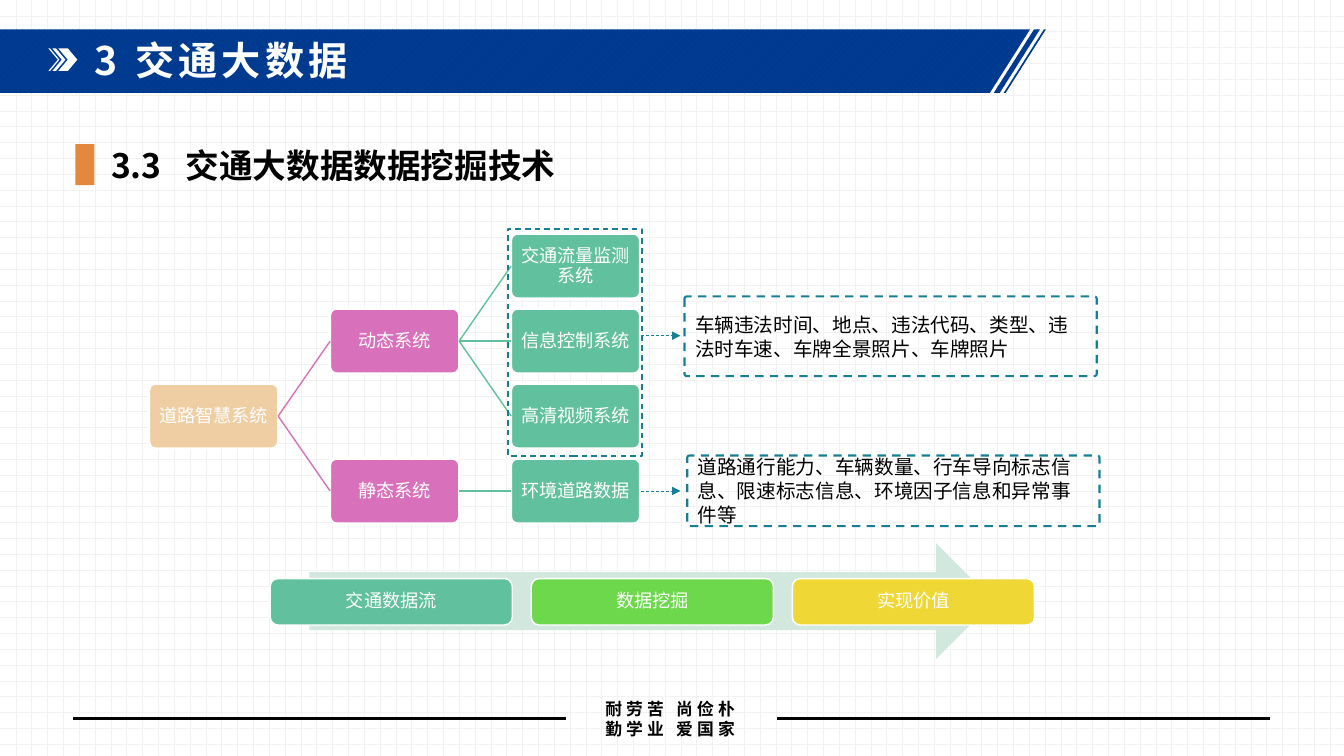
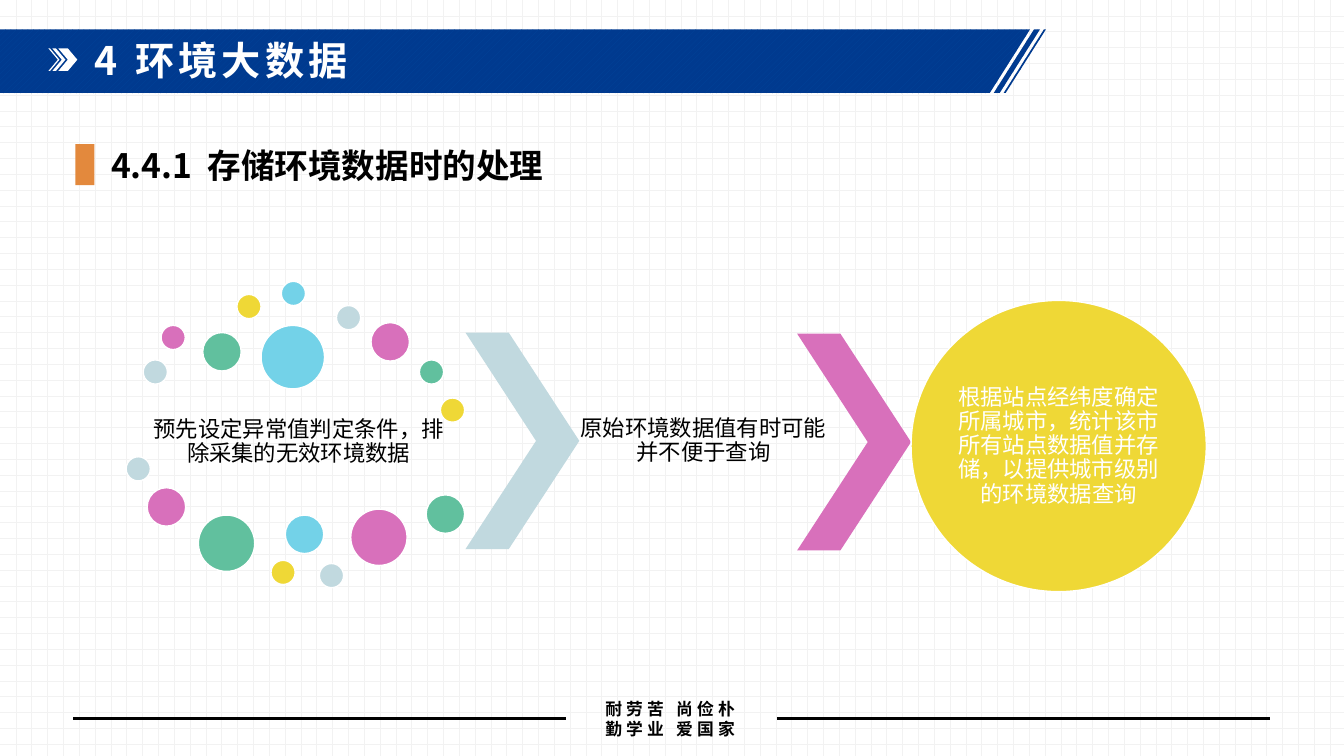
"""Build two slides on traffic and environment data with a shared banner and footer."""
import itertools

import lxml.etree
import pptx
import pptx.dml.color
import pptx.enum.dml
import pptx.enum.shapes
import pptx.enum.text
import pptx.oxml.ns
import pptx.util

Cm, Pt = pptx.util.Cm, pptx.util.Pt
SHAPE = pptx.enum.shapes.MSO_SHAPE
PATTERN = pptx.enum.dml.MSO_PATTERN
ALIGN = pptx.enum.text.PP_ALIGN
ANCHOR = pptx.enum.text.MSO_ANCHOR
DASH = pptx.enum.dml.MSO_LINE.DASH

HEADING_FONT, BODY_FONT = "Noto Sans CJK SC", "League Spartan"
WHITE, BLACK, TEAL, ORANGE = "FFFFFF", "000000", "187E95", "E3893D"
SAND, PINK, GREEN, LIME = "F0CEA3", "D870BB", "61C09E", "6DD84B"
YELLOW, SKY, MIST, MINT = "EFD836", "73D2E8", "C1D9DF", "D2E8DF"

BANNER_TOP, BANNER_BOTTOM, BANNER_SLANT = 0.74, 2.35, 1.02
BANNER_STRIPES = [(26.06, 26.21), (26.31, 26.36)]
BANNER_END = 25.96
BANNER_CHEVRONS = [(1.22, 0.28), (1.32, 0.33), (1.47, 0.48)]
MOTTO = ["耐劳苦 尚俭朴", "勤学业 爱国家"]
FOOTER_LINES = [(1.85, 14.27), (19.58, 32)]
TITLE_BOX = (1.83, 0.81, 21.11, 1.42)
SECTION_BOX = (2.36, 3.63, 29.64, 1.04)

TRAFFIC = {"title": "3 交通大数据", "section": "3.3\t交通大数据数据挖掘技术", "tab": 1.88}
ENVIRONMENT = {"title": "4 环境大数据", "section": "4.4.1\t存储环境数据时的处理", "tab": 2.43}

TREE = [
    ("道路智慧系统", 0, 2, SAND, None),
    ("动态系统", 1, 1, PINK, "道路智慧系统"),
    ("静态系统", 1, 3, PINK, "道路智慧系统"),
    ("交通流量监测系统", 2, 0, GREEN, "动态系统"),
    ("信息控制系统", 2, 1, GREEN, "动态系统"),
    ("高清视频系统", 2, 2, GREEN, "动态系统"),
    ("环境道路数据", 2, 3, GREEN, "静态系统"),
]
CALLOUTS = [
    ("车辆违法时间、地点、违法代码、类型、违法时车速、车牌全景照片、车牌照片",
     (17.25, 7.47, 10.39, 2.01), 8.46),
    ("道路通行能力、车辆数量、行车导向标志信息、限速标志信息、环境因子信息和异常事件等",
     (17.32, 11.48, 10.39, 1.78), 12.37),
]
STEPS = [("交通数据流", GREEN), ("数据挖掘", LIME), ("实现价值", YELLOW)]

DOT_COLOURS = [MIST, PINK, GREEN, YELLOW, SKY]
SMALL, MEDIUM, LARGE, LARGEST = 0.61, 0.97, 1.42, 1.6
DOTS = [
    (3.61, 9.07, SMALL), (4.06, 8.2, SMALL), (5.11, 8.38, MEDIUM),
    (5.97, 7.42, SMALL), (7.09, 7.09, SMALL), (8.48, 7.7, SMALL),
    (9.35, 8.13, MEDIUM), (10.57, 9.07, SMALL), (11.1, 10.03, SMALL),
    (6.58, 8.2, LARGEST), (3.18, 11.51, SMALL), (3.71, 12.29, MEDIUM),
    (5, 12.98, LARGE), (6.83, 14.12, SMALL), (7.19, 12.98, MEDIUM),
    (8.05, 14.2, SMALL), (8.84, 12.83, LARGE), (10.74, 12.47, MEDIUM),
]
STAGE_TEXTS = [
    ("预先设定异常值判定条件，排除采集的无效环境数据", (3.63, 9.86, 7.8, 2.57)),
    ("原始环境数据值有时可能并不便于查询", (14.58, 8.38, 6.3, 5.46)),
]
STAGE_CHEVRONS = [(11.73, 8.38, MIST), (20.09, 8.41, PINK)]
RESULT = "根据站点经纬度确定所属城市，统计该市所有站点数据值并存储，以提供城市级别的环境数据查询"


def rgb(colour):
    return pptx.dml.color.RGBColor.from_string(colour)


def apply(target, **values):
    for name, value in values.items():
        setattr(target, name, value)


def lengths(*values):
    return [Cm(value) for value in values]


def set_pattern(fill, pattern, front, back):
    fill.patterned()
    fill.pattern = pattern
    fill.fore_color.rgb, fill.back_color.rgb = rgb(front), rgb(back)


def set_line(line, colour, width, dash=None):
    line.color.rgb = rgb(colour)
    apply(line, width=Pt(width), dash_style=dash)


def write(shape, lines, size, colour, font=BODY_FONT, bold=False, align=ALIGN.CENTER,
          margins=(0.25, 0.13, 0.25, 0.13), leading=1.08, spacing=0, tab=None):
    frame = shape.text_frame
    frame.text = "\n".join(lines)
    sides = ("margin_left", "margin_top", "margin_right", "margin_bottom")
    apply(frame, word_wrap=True, auto_size=pptx.enum.text.MSO_AUTO_SIZE.NONE,
          vertical_anchor=ANCHOR.MIDDLE, **dict(zip(sides, lengths(*margins))))
    for paragraph in frame.paragraphs:
        apply(paragraph, alignment=align, line_spacing=Pt(round(size * leading, 1)),
              space_before=Pt(0))
        if tab:
            properties = paragraph._p.get_or_add_pPr()
            stops = lxml.etree.SubElement(properties, pptx.oxml.ns.qn("a:tabLst"))
            lxml.etree.SubElement(stops, pptx.oxml.ns.qn("a:tab"), pos=str(Cm(tab)), algn="l")
        for run in paragraph.runs:
            apply(run.font, name=font, size=Pt(size), bold=bold)
            run.font.color.rgb = rgb(colour)
            properties = run._r.get_or_add_rPr()
            if spacing:
                properties.set("spc", str(spacing * 100))
            lxml.etree.SubElement(properties, pptx.oxml.ns.qn("a:ea"), typeface=font)


def add_shape(slide, kind, box, fill=None, line=None, adjust=None):
    shape = slide.shapes.add_shape(kind, *lengths(*box))
    shape.shadow.inherit = False
    if fill:
        shape.fill.solid()
        shape.fill.fore_color.rgb = rgb(fill)
    else:
        shape.fill.background()
    if line:
        set_line(shape.line, *line)
    else:
        shape.line.fill.background()
    if adjust is not None:
        shape.adjustments[0] = adjust
    return shape


def add_text(slide, box, lines, size, colour, **options):
    text_box = slide.shapes.add_textbox(*lengths(*box))
    write(text_box, lines, size, colour, **options)


def add_line(slide, ends, line, arrow=False, joined=None):
    connector = slide.shapes.add_connector(
        pptx.enum.shapes.MSO_CONNECTOR.STRAIGHT, *lengths(*ends))
    if joined:
        connector.begin_connect(joined[0], 3)
        connector.end_connect(joined[1], 1)
    set_line(connector.line, *line)
    if arrow:
        lxml.etree.SubElement(connector.line._get_or_add_ln(),
                              pptx.oxml.ns.qn("a:tailEnd"), type="triangle")
    lxml.etree.SubElement(connector._element.spPr, pptx.oxml.ns.qn("a:effectLst"))


def draw_banner(slide):
    builder = slide.shapes.build_freeform(*lengths(0, BANNER_TOP))
    outline = [(BANNER_END, BANNER_TOP), (BANNER_END - BANNER_SLANT, BANNER_BOTTOM),
               (0, BANNER_BOTTOM)]
    builder.add_line_segments([lengths(*point) for point in outline], close=True)
    for left, right in BANNER_STRIPES:
        builder.move_to(*lengths(left, BANNER_TOP))
        outline = [(right, BANNER_TOP), (right - BANNER_SLANT, BANNER_BOTTOM),
                   (left - BANNER_SLANT, BANNER_BOTTOM)]
        builder.add_line_segments([lengths(*point) for point in outline], close=True)
    banner = builder.convert_to_shape()
    banner.shadow.inherit = False
    set_pattern(banner.fill, PATTERN.WIDE_UPWARD_DIAGONAL, "00449A", "003A8F")
    banner.line.fill.background()
    for left, width in BANNER_CHEVRONS:
        add_shape(slide, SHAPE.CHEVRON, (left, 1.22, width, 0.57), WHITE, adjust=0.24 / width)


def move_frame_to_layout(slide, layout):
    """Draw the shared frame and hand it to the layout."""
    for placeholder in list(layout.placeholders):
        if placeholder.placeholder_format.idx:
            layout.shapes.element.remove(placeholder.element)
    set_pattern(layout.background.fill, PATTERN.DOTTED_GRID, "F2F2F2", WHITE)
    draw_banner(slide)
    add_text(slide, (14.25, 17.48, 5.28, 1.27), MOTTO, 12, BLACK, font=HEADING_FONT,
             bold=True, spacing=3, leading=1.2)
    for left, right in FOOTER_LINES:
        add_line(slide, (left, 18.1, right, 18.1), (BLACK, 2))
    add_shape(slide, SHAPE.RECTANGLE, (1.9, 3.63, 0.48, 1.04), ORANGE)
    for shape in list(slide.shapes):
        if not shape.is_placeholder:
            layout.shapes.element.append(shape.element)


def write_headings(slide, content):
    title = slide.shapes.title
    apply(title, **dict(zip(("left", "top", "width", "height"), lengths(*TITLE_BOX))))
    heading = {"font": HEADING_FONT, "bold": True, "align": ALIGN.LEFT, "leading": 1.2}
    write(title, [content["title"]], 28, WHITE, spacing=3,
          margins=(0.56, 0.13, 0.25, 0.13), **heading)
    add_text(slide, SECTION_BOX, [content["section"]], 24, BLACK, tab=content["tab"],
             margins=(0.44, 0.13, 0.25, 0.13), **heading)


def draw_traffic(slide):
    nodes = {}
    for label, column, row, colour, parent in TREE:
        box = (3.76 + 4.56 * column, 5.89 + 1.89 * row, 3.25, 1.63)
        node = add_shape(slide, SHAPE.ROUNDED_RECTANGLE, box, colour, (WHITE, 1.5), 0.1)
        write(node, [label], 13, WHITE, margins=(0.03,) * 4)
        nodes[label] = node
        if parent:
            add_line(slide, (0, 0, 0, 0), (colour, 1), joined=(nodes[parent], node))
    add_shape(slide, SHAPE.RECTANGLE, (12.8, 5.77, 3.38, 5.72), line=(TEAL, 1, DASH))
    for text, box, arrow_top in CALLOUTS:
        callout = add_shape(slide, SHAPE.ROUNDED_RECTANGLE, box,
                            line=(TEAL, 1.5, DASH), adjust=0.03)
        write(callout, [text], 14, BLACK, align=ALIGN.LEFT, leading=1.22)
        add_line(slide, (16.15, arrow_top, 17.15, arrow_top), (TEAL, 0.5, DASH), arrow=True)
    add_shape(slide, SHAPE.RIGHT_ARROW, (7.8, 13.69, 17.25, 2.92), MINT)
    for index, (label, colour) in enumerate(STEPS):
        step = add_shape(slide, SHAPE.ROUNDED_RECTANGLE, (6.81 + 6.58 * index, 14.58, 6.1, 1.17),
                         colour, (WHITE, 1))
        write(step, [label], 13, WHITE, margins=(0.13,) * 4)


def draw_environment(slide):
    for text, box in STAGE_TEXTS:
        add_text(slide, box, [text], 16, BLACK, margins=(0.05,) * 4)
    for (left, top, size), colour in zip(DOTS, itertools.cycle(DOT_COLOURS)):
        add_shape(slide, SHAPE.OVAL, (left, top, size, size), colour, (WHITE, 1))
    for left, top, colour in STAGE_CHEVRONS:
        add_shape(slide, SHAPE.CHEVRON, (left, top, 2.87, 5.46), colour, adjust=0.62)
    circle = add_shape(slide, SHAPE.OVAL, (22.96, 7.57, 7.44, 7.34), YELLOW, (WHITE, 1))
    write(circle, [RESULT], 16, WHITE, margins=(0,) * 4)


def main():
    presentation = pptx.Presentation()
    apply(presentation, slide_width=Cm(33.87), slide_height=Cm(19.05))
    layout = presentation.slide_layouts[5]
    pages = [(TRAFFIC, draw_traffic), (ENVIRONMENT, draw_environment)]
    for index, (content, draw) in enumerate(pages):
        slide = presentation.slides.add_slide(layout)
        if index == 0:
            move_frame_to_layout(slide, layout)
        write_headings(slide, content)
        draw(slide)
    presentation.save("out.pptx")


if __name__ == "__main__":
    main()
